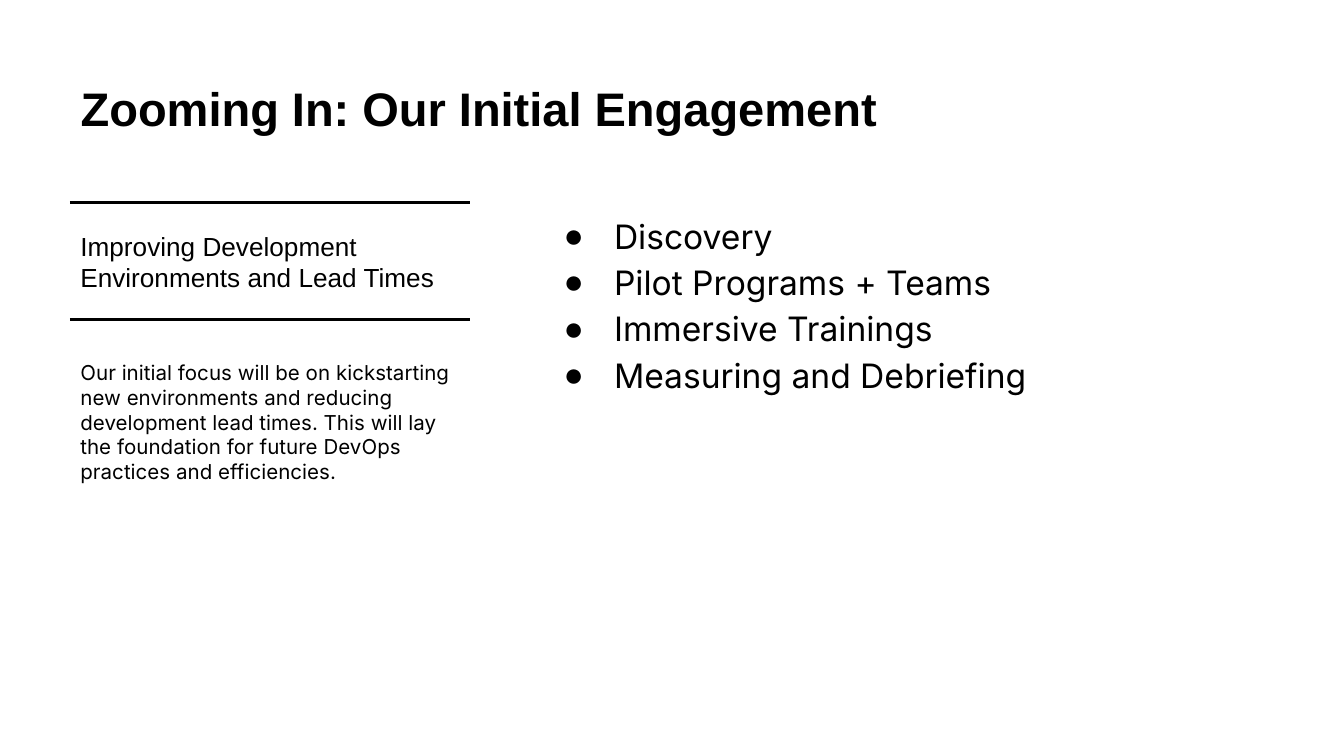
"""Build the initial engagement slide with python-pptx."""
import dataclasses
import typing

import lxml.etree
import pptx
import pptx.dml.color
import pptx.enum.shapes
import pptx.enum.text
import pptx.oxml.ns
import pptx.util

PX = 4572
HUES = {"ink": "000000", "page": "FFFFFF"}


@dataclasses.dataclass
class Box:
    """Place of an item in px."""
    x: int
    y: int
    w: int
    h: int


@dataclasses.dataclass
class Rule:
    """Level line in px."""
    x: int
    y: int
    w: int


RULES = [Rule(104, y, 596) for y in (301, 476)]
STEPS = ["Discovery", "Pilot Programs + Teams", "Immersive Trainings", "Measuring and Debriefing"]


def hue(name: str) -> pptx.dml.color.RGBColor:
    """Look up a colour."""
    return pptx.dml.color.RGBColor.from_string(HUES[name])


def mark(para: typing.Any, char: str) -> None:
    """Give a paragraph a hanging bullet."""
    props = para._p.get_or_add_pPr()
    props.set("marL", str(100 * PX))
    props.set("indent", str(-75 * PX))
    tag = pptx.oxml.ns.qn
    tint = lxml.etree.SubElement(props, tag("a:buClr"))
    lxml.etree.SubElement(tint, tag("a:srgbClr"), val=HUES["ink"])
    lxml.etree.SubElement(props, tag("a:buFont"), typeface="Arial")
    lxml.etree.SubElement(props, tag("a:buChar"), char=char)


def write(shape: typing.Any, box: Box, lines: list[str], *, size: float, font: str = "Arial",
          bold: bool = False, mid: bool = False, after: int = 0, lead: float = 1.0,
          char: str = "") -> None:
    """Place a text shape and fill it with formatted lines."""
    shape.left, shape.top, shape.width, shape.height = (
        n * PX for n in (box.x, box.y, box.w, box.h))
    frame = shape.text_frame
    frame.word_wrap = True
    frame.auto_size = pptx.enum.text.MSO_AUTO_SIZE.NONE
    anchor = pptx.enum.text.MSO_ANCHOR
    frame.vertical_anchor = anchor.MIDDLE if mid else anchor.TOP
    frame.margin_left = frame.margin_right = frame.margin_top = frame.margin_bottom = 20 * PX
    frame.text = "\n".join(lines)
    for para in frame.paragraphs:
        para.alignment = pptx.enum.text.PP_ALIGN.LEFT
        para.line_spacing = lead
        para.space_before = pptx.util.Pt(0)
        para.space_after = pptx.util.Pt(after)
        if char:
            mark(para, char)
        for run in para.runs:
            run.font.name = font
            run.font.size = pptx.util.Pt(size)
            run.font.bold = bold
            run.font.color.rgb = hue("ink")


def draw(slide: typing.Any, rule: Rule) -> None:
    """Draw a level line without a shadow."""
    line = slide.shapes.add_connector(
        pptx.enum.shapes.MSO_CONNECTOR.STRAIGHT,
        rule.x * PX, rule.y * PX, (rule.x + rule.w) * PX, rule.y * PX)
    line.line.color.rgb = hue("ink")
    line.line.width = pptx.util.Pt(1.5)
    lxml.etree.SubElement(line._element.spPr, pptx.oxml.ns.qn("a:effectLst"))


def main() -> None:
    """Build and save the slide."""
    deck = pptx.Presentation()
    deck.slide_width, deck.slide_height = 2000 * PX, 1125 * PX
    slide = deck.slides.add_slide(deck.slide_layouts.get_by_name("Title Only"))
    slide.background.fill.solid()
    slide.background.fill.fore_color.rgb = hue("page")

    def text() -> typing.Any:
        """Add an empty text box."""
        return slide.shapes.add_textbox(0, 0, PX, PX)

    write(slide.shapes.title, Box(100, 98, 1800, 126), ["Zooming In: Our Initial Engagement"],
          size=25.2, bold=True, mid=True)
    write(text(), Box(100, 303, 600, 172), ["Improving Development Environments and Lead Times"],
          size=14, mid=True, after=12)
    write(text(), Box(100, 516, 600, 316),
          ["Our initial focus will be on kickstarting new environments and reducing "
           "development lead times. This will lay the foundation for future DevOps "
           "practices and efficiencies."],
          size=11, font="Inter", after=10)
    for rule in RULES:
        draw(slide, rule)
    write(text(), Box(794, 292, 1118, 722), STEPS, size=18, font="Inter", lead=1.15, char="●")
    deck.save("out.pptx")


if __name__ == "__main__":
    main()
